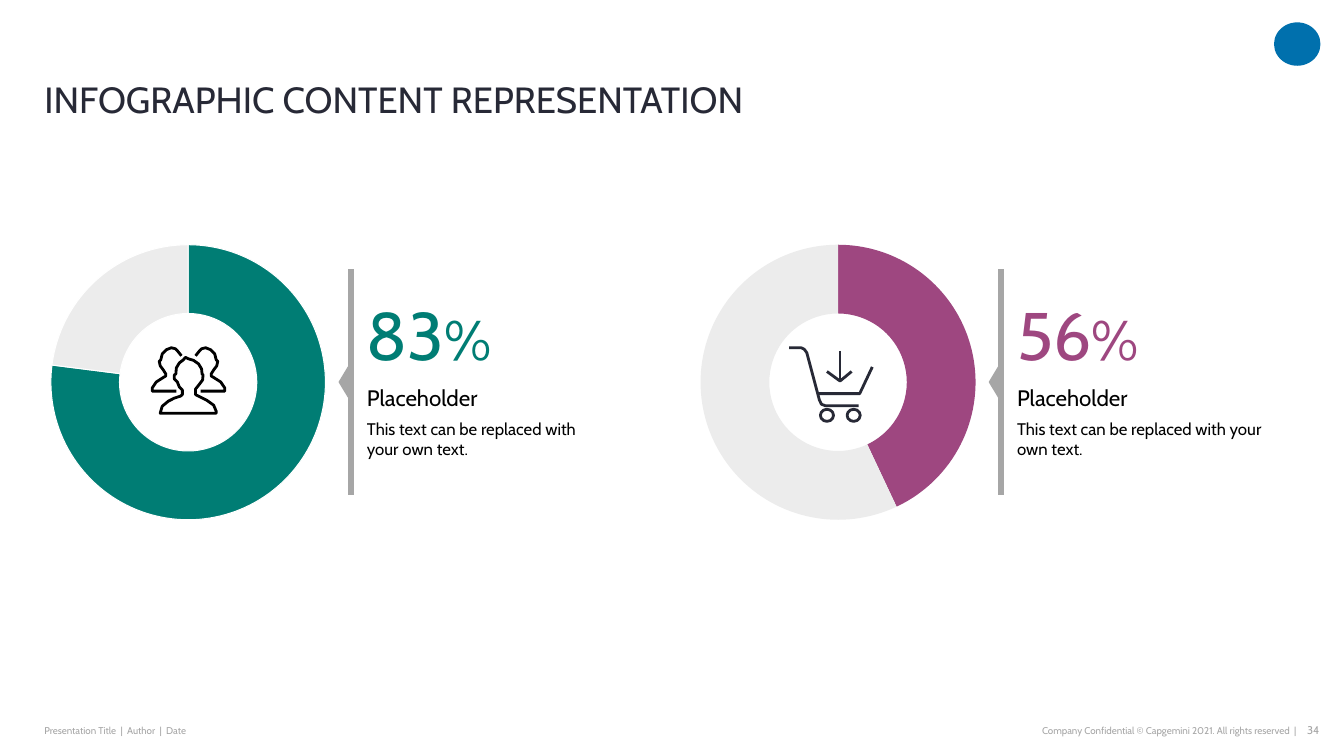
from pptx import Presentation
from pptx.chart.data import CategoryChartData
from pptx.dml.color import RGBColor
from pptx.enum.chart import XL_CHART_TYPE as ChartType
from pptx.enum.shapes import MSO_CONNECTOR as Connector, MSO_SHAPE as Shape
from pptx.enum.text import MSO_ANCHOR as Anchor, PP_ALIGN as Align
from pptx.oxml import parse_xml
from pptx.oxml.ns import nsdecls
from pptx.util import Pt
from lxml.etree import SubElement
from pptx.oxml.ns import qn

FONT = "Cabin"
COLORS = {
    "white": "FFFFFF", "black": "000000", "ink": "272936", "gray": "A6A6A6",
    "rest": "ECECEC", "teal": "007D74", "plum": "9E4780", "blue": "0070AD",
}
ICON_UNIT = Pt(0.36)

# Icon outlines, in icon units from the icon's top left corner
FRONT_PERSON = [
    (18, 132), (19, 128), (22, 118), (34, 108), (46, 102), (58, 98), (62, 95), (62, 86),
    (56, 80), (52, 70), (46, 64), (46, 56), (49, 54), (50, 42), (56, 32), (64, 26),
    (68, 21), (74, 24), (84, 27), (94, 34), (100, 44), (101, 54), (103, 56), (102, 66),
    (96, 74), (88, 84), (88, 95), (94, 98), (110, 106), (124, 116), (129, 128), (129, 132),
]
RIGHT_PERSON = [
    (88, 18), (96, 8), (100, 4), (108, 2), (118, 6), (126, 14), (129, 26), (132, 29),
    (130, 38), (124, 46), (119, 54), (119, 58), (124, 61), (138, 70), (146, 82),
    (146, 88), (98, 88),
]
LEFT_PERSON = [(148 - x, y) for x, y in RIGHT_PERSON]
CART_STROKES = [
    [(2, 2), (26, 2), (32, 5), (37, 12), (62, 106), (66, 114), (74, 117), (140, 117)],
    [(61, 93), (142, 93), (167, 40)],
    [(103, 8), (103, 68)],
    [(77, 49), (103, 68), (126, 49)],
]
CART_WHEELS = [77, 130]


def color(name):
    return RGBColor.from_string(COLORS[name])


def add_text(page, box, runs, align=Align.LEFT, anchor=Anchor.MIDDLE, spacing=None, inset=0):
    """Place one paragraph; runs are (text, size, colour name)."""
    frame = page.shapes.add_textbox(*map(Pt, box)).text_frame
    frame.word_wrap = True
    frame.vertical_anchor = anchor
    frame.margin_left = frame.margin_right = 0
    frame.margin_top = frame.margin_bottom = Pt(inset)
    para = frame.paragraphs[0]
    para.alignment = align
    para.line_spacing = spacing
    for text, size, shade in runs:
        span = para.add_run()
        span.text = text
        span.font.name = FONT
        span.font.size = Pt(size)
        span.font.color.rgb = color(shade)


def add_plain_shape(page, kind, box, fill=None, line=None, weight=1):
    shape = page.shapes.add_shape(kind, *box)
    paint(shape, fill, line, weight)
    return shape


def paint(shape, fill=None, line=None, weight=1):
    shape.shadow.inherit = False
    if fill:
        shape.fill.solid()
        shape.fill.fore_color.rgb = color(fill)
    else:
        shape.fill.background()
    if line:
        shape.line.color.rgb = color(line)
        shape.line.width = Pt(weight)
    else:
        shape.line.fill.background()


def add_stroke(page, left, top, points, shade, closed=False):
    builder = page.shapes.build_freeform(*points[0], scale=ICON_UNIT)
    builder.add_line_segments(points[1:], close=closed)
    paint(builder.convert_to_shape(Pt(left), Pt(top)), line=shade, weight=2)


def draw_people(page, left, top):
    add_stroke(page, left, top, LEFT_PERSON, "black")
    add_stroke(page, left, top, RIGHT_PERSON, "black")
    add_stroke(page, left, top, FRONT_PERSON, "black", closed=True)


def draw_cart(page, left, top):
    for points in CART_STROKES:
        add_stroke(page, left, top, points, "ink")
    for middle in CART_WHEELS:
        box = (Pt(left) + (middle - 13) * ICON_UNIT, Pt(top) + 124 * ICON_UNIT,
               26 * ICON_UNIT, 24 * ICON_UNIT)
        add_plain_shape(page, Shape.OVAL, box, line="ink", weight=2)


def draw_ring(page, box, share, shade, edge):
    data = CategoryChartData()
    data.categories = ["1", "2"]
    data.add_series("Series 1", (share, 100 - share))
    chart = page.shapes.add_chart(ChartType.DOUGHNUT, *map(Pt, box), data).chart
    chart.has_title = chart.has_legend = False
    chart.font.name = FONT
    chart.font.size = Pt(10)
    chart.font.color.rgb = color("black")
    plot = chart.plots[0]
    plot.vary_by_categories = True
    for index, fill in enumerate((shade, "rest")):
        look = plot.series[0].points[index].format
        look.fill.solid()
        look.fill.fore_color.rgb = color(fill)
        if edge:
            look.line.color.rgb = color(edge)
            look.line.width = Pt(0.75)
        else:
            look.line.fill.background()
    for hole in chart.element.xpath(".//c:holeSize"):
        hole.set("val", "75")
    area = chart.element.xpath(".//c:plotArea")[0]
    for layout in area.xpath("./c:layout"):
        area.remove(layout)
    area.insert(0, parse_xml(
        f'<c:layout {nsdecls("c")}><c:manualLayout><c:layoutTarget val="inner"/>'
        '<c:xMode val="edge"/><c:yMode val="edge"/><c:x val="0"/><c:y val="0"/>'
        '<c:w val="0.996"/><c:h val="0.996"/></c:manualLayout></c:layout>'))


def draw_divider(page, left, top, height):
    """Vertical bar with a pointer towards the ring."""
    bar = page.shapes.add_connector(
        Connector.STRAIGHT, Pt(left), Pt(top), Pt(left), Pt(top + height))
    bar.line.color.rgb = color("gray")
    bar.line.width = Pt(4.5)
    SubElement(bar._element.spPr, qn("a:effectLst"))
    width, depth = 21.6, 6.5
    box = map(Pt, (left - 5 - width / 2, top + (height - depth) / 2, width, depth))
    pointer = add_plain_shape(page, Shape.ISOSCELES_TRIANGLE, box, "gray", "gray")
    pointer.rotation = 270


def draw_panel(page, left, top, share, shade, edge, number, note_width, draw_icon, icon_left):
    draw_ring(page, (left, top, 197.3, 244.8), share, shade, edge)
    draw_icon(page, left + icon_left, top + 96.5)
    draw_divider(page, left + 214.6, top + 41, 161.3)
    text_left = left + 226.1
    add_text(page, (text_left, top + 61.2, 214, 51.8),
             [(number, 48, shade), ("%", 40, shade)], inset=2.9)
    add_text(page, (text_left, top + 103, 190, 36),
             [("Placeholder", 16, "black")], spacing=Pt(43))
    add_text(page, (text_left, top + 137.5, note_width, 49.7),
             [("This text can be replaced with your own text.", 12, "black")])


def draw_header(page, left, top, width):
    add_text(page, (left, top, width, 56.2),
             [("INFOGRAPHIC CONTENT REPRESENTATION", 26, "ink")],
             anchor=Anchor.BOTTOM, spacing=0.9)
    add_plain_shape(page, Shape.OVAL, map(Pt, (910, 16, 33.2, 31)), "blue")


def draw_footer(page, left, top):
    add_text(page, (left, top, 268.6, 17.3),
             [("Presentation Title  |  Author  |  Date", 7, "gray")])
    add_text(page, (568.8, top, 357.1, 17.3),
             [("Company Confidential © Capgemini 2021. All rights reserved  |", 7, "gray")],
             align=Align.RIGHT)
    add_text(page, (924.5, top, 18, 17.3), [("34", 8, "gray")],
             align=Align.RIGHT, anchor=Anchor.TOP, inset=3.6)


def main():
    deck = Presentation()
    deck.slide_width, deck.slide_height = Pt(960), Pt(540)
    page = deck.slides.add_slide(deck.slide_layouts[6])
    draw_header(page, 31.7, 30.2, 861.8)
    draw_panel(page, 36, 151.2, 77, "teal", "white", "83", 169.2, draw_people, 72)
    draw_panel(page, 500.4, 151.2, 43, "plum", None, "56", 177.1, draw_cart, 62.6)
    draw_footer(page, 31.7, 513.4)
    deck.save("out.pptx")


if __name__ == "__main__":
    main()
